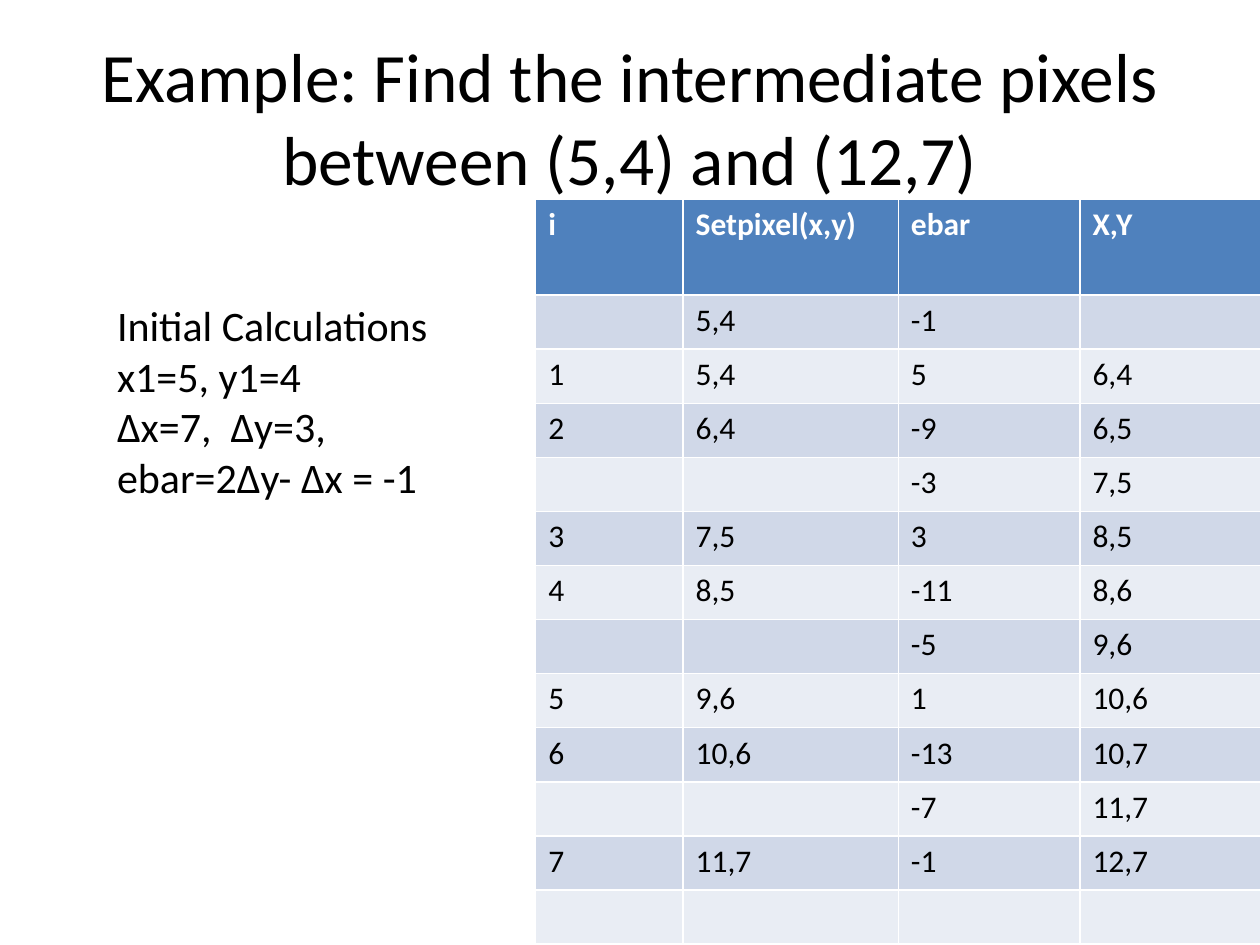
from pptx import Presentation
from pptx.dml.color import RGBColor
from pptx.enum.text import MSO_ANCHOR, MSO_AUTO_SIZE, PP_ALIGN
from pptx.util import Cm, Pt

MIDDLE = MSO_ANCHOR.MIDDLE
NO_AUTOFIT = MSO_AUTO_SIZE.NONE
CENTER, LEFT = PP_ALIGN.CENTER, PP_ALIGN.LEFT
TITLE_ONLY = 5

THEME = {
    "font": "Calibri",
    "text": RGBColor(0x00, 0x00, 0x00),
    "header_text": RGBColor(0xFF, 0xFF, 0xFF),
    "header_fill": RGBColor(0x4F, 0x81, 0xBD),
    "bands": [RGBColor(0xE9, 0xED, 0xF4), RGBColor(0xD0, 0xD8, 0xE8)],
    "title_size": Pt(39.6),
    "body_size": Pt(24),
    "table_size": Pt(18),
}

CALCULATIONS = [
    "Initial Calculations",
    "x1=5, y1=4",
    "∆x=7,  ∆y=3,",
    "ebar=2∆y- ∆x = -1",
]

PIXEL_STEPS = [
    ("i", "Setpixel(x,y)", "ebar", "X,Y"),
    ("", "5,4", "-1", ""),
    ("1", "5,4", "5", "6,4"),
    ("2", "6,4", "-9", "6,5"),
    ("", "", "-3", "7,5"),
    ("3", "7,5", "3", "8,5"),
    ("4", "8,5", "-11", "8,6"),
    ("", "", "-5", "9,6"),
    ("5", "9,6", "1", "10,6"),
    ("6", "10,6", "-13", "10,7"),
    ("", "", "-7", "11,7"),
    ("7", "11,7", "-1", "12,7"),
    ("", "", "", ""),
]
COLUMN_WIDTHS = [Cm(2.97), Cm(4.34), Cm(3.66), Cm(3.66)]
HEADER_HEIGHT, ROW_HEIGHT = Cm(1.93), Cm(1.09)


def write_text(para, text, size, color, bold=False, align=LEFT):
    """Format the paragraph, and add a span when there is text."""
    para.alignment = align
    fonts = [para.font]
    if text:
        span = para.add_run()
        span.text = text
        fonts.append(span.font)
    for font in fonts:
        for name, value in {"name": THEME["font"], "size": size, "bold": bold}.items():
            setattr(font, name, value)
        font.color.rgb = color


deck = Presentation()
deck.slide_width, deck.slide_height = Cm(25.4), Cm(19.05)
slide = deck.slides.add_slide(deck.slide_layouts[TITLE_ONLY])

# Title
title = slide.shapes.title
title_place = {"left": Cm(1.27), "top": Cm(0.76), "width": Cm(22.86), "height": Cm(3.18)}
for name, value in title_place.items():
    setattr(title, name, value)
for name, value in {"word_wrap": True, "auto_size": NO_AUTOFIT, "vertical_anchor": MIDDLE}.items():
    setattr(title.text_frame, name, value)
write_text(title.text_frame.paragraphs[0],
           "Example: Find the intermediate pixels between (5,4) and (12,7)",
           THEME["title_size"], THEME["text"], align=CENTER)

# Table of steps
table = slide.shapes.add_table(
    len(PIXEL_STEPS), len(COLUMN_WIDTHS), Cm(10.8), Cm(4.02),
    sum(COLUMN_WIDTHS), HEADER_HEIGHT + ROW_HEIGHT * (len(PIXEL_STEPS) - 1)).table
for column, width in zip(table.columns, COLUMN_WIDTHS):
    column.width = width
for row_index, values in enumerate(PIXEL_STEPS):
    is_header = row_index == 0
    table.rows[row_index].height = HEADER_HEIGHT if is_header else ROW_HEIGHT
    fill_color = THEME["header_fill"] if is_header else THEME["bands"][row_index % 2]
    text_color = THEME["header_text"] if is_header else THEME["text"]
    for column_index, text in enumerate(values):
        cell = table.cell(row_index, column_index)
        cell.fill.solid()
        cell.fill.fore_color.rgb = fill_color
        write_text(cell.text_frame.paragraphs[0], text,
                   THEME["table_size"], text_color, bold=is_header)

# Initial calculations
box = slide.shapes.add_textbox(Cm(2.11), Cm(5.92), Cm(7.19), Cm(6.93))
frame = box.text_frame
frame.word_wrap = True
for index, line in enumerate(CALCULATIONS):
    para = frame.add_paragraph() if index else frame.paragraphs[0]
    write_text(para, line, THEME["body_size"], THEME["text"])

deck.save("out.pptx")
